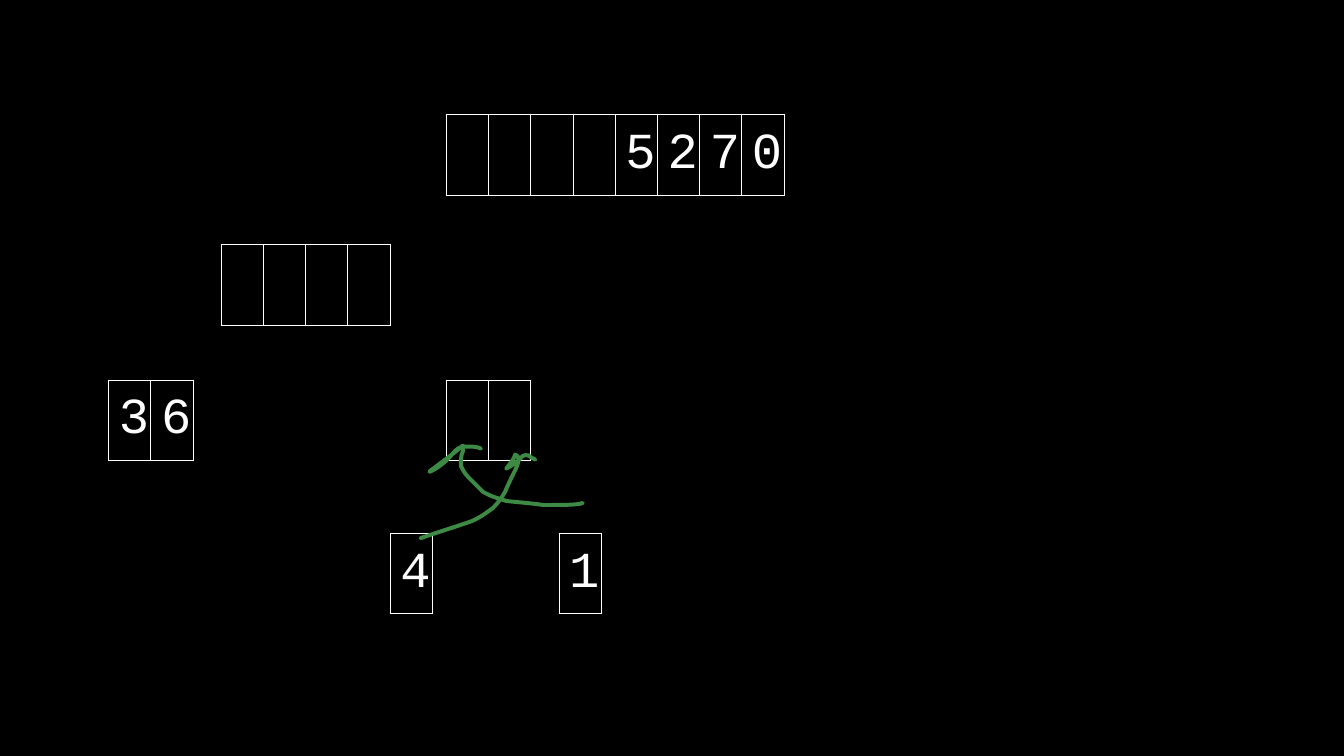
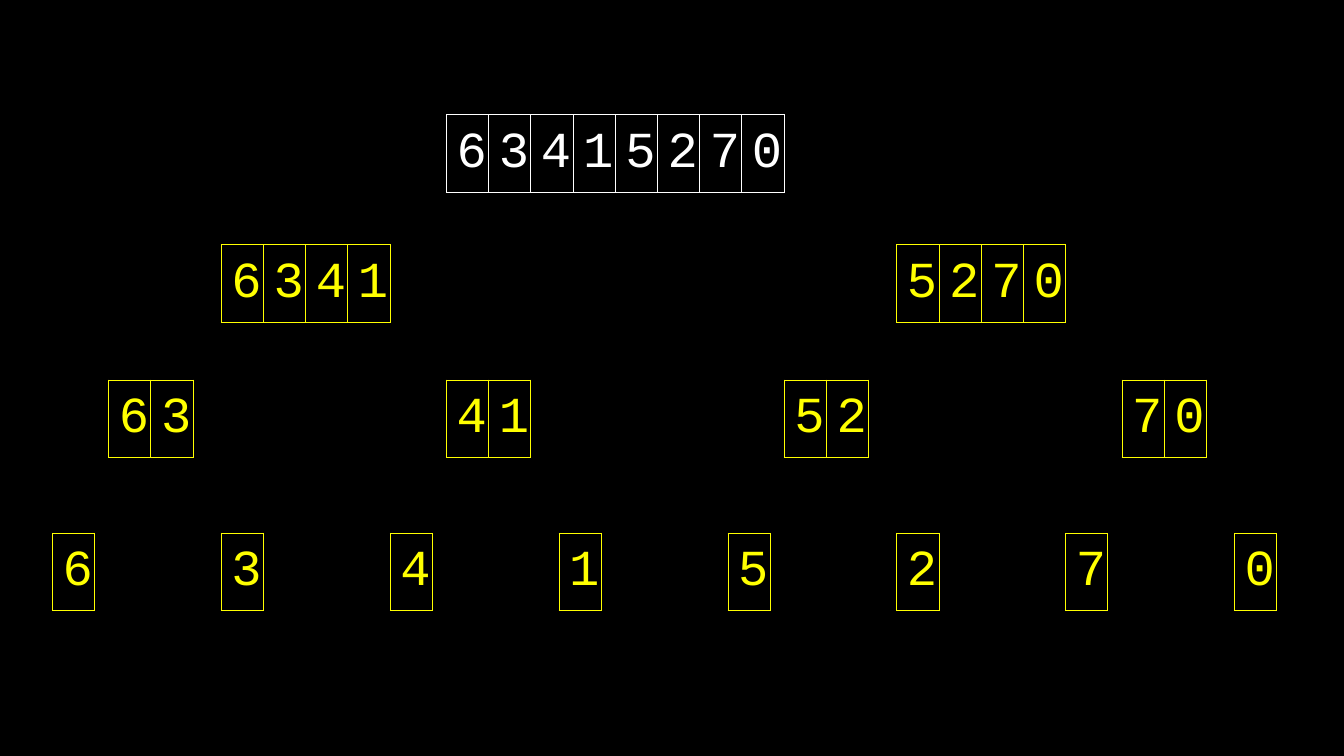
import pptx
import pptx.util
import pptx.dml.color
import pptx.enum.text
import pptx.oxml
import pptx.oxml.ns

COLORS = {"background": "000000", "settled": "FFFFFF", "split": "FFFF00", "ink": "3D8A44"}
FONT = "Courier New"
SLIDE_WIDTH, SLIDE_HEIGHT = 13.33, 7.5
CELL = 3.35 / 8
LEAF_STEP = 4 * CELL
LEFT = 0.52
LEVEL_TOPS = {8: 1.14, 4: 2.43, 2: 3.77, 1: 5.29}
MERGE_ROW, SPLIT_ROW = 0.8, 0.76

NUMBERS = "63415270"
MERGE_ARRAYS = [
    (8, 0, "5270"),
    (4, 0, ""),
    (2, 0, "36"),
    (2, 1, ""),
    (1, 2, "4"),
    (1, 3, "1"),
]
INK_STROKES = [
    [(5.78, 4.99),
     (5.73, 5.01, 5.6, 5.01, 5.39, 5.01), (5.25, 4.99, 5.1, 4.98, 5.02, 4.97),
     (4.93, 4.94, 4.88, 4.93, 4.79, 4.88), (4.75, 4.84, 4.69, 4.78, 4.65, 4.74),
     (4.61, 4.7, 4.59, 4.66, 4.57, 4.62), (4.57, 4.57, 4.57, 4.52, 4.59, 4.48),
     (4.59, 4.43)],
    [(4.59, 4.42),
     (4.49, 4.51, 4.37, 4.59, 4.31, 4.64), (4.26, 4.67, 4.22, 4.71, 4.32, 4.65),
     (4.4, 4.6, 4.46, 4.54, 4.49, 4.5), (4.52, 4.46, 4.56, 4.43, 4.61, 4.43),
     (4.68, 4.43, 4.73, 4.43, 4.77, 4.45)],
    [(4.17, 5.34),
     (4.37, 5.27, 4.51, 5.23, 4.68, 5.17), (4.77, 5.13, 4.82, 5.09, 4.89, 5.04),
     (4.94, 4.99, 4.98, 4.93, 5.01, 4.88), (5.04, 4.8, 5.11, 4.67, 5.13, 4.62),
     (5.15, 4.57, 5.15, 4.52, 5.11, 4.51), (5.1, 4.55, 5.06, 4.6, 5.02, 4.65),
     (5.08, 4.62, 5.12, 4.59, 5.16, 4.55), (5.18, 4.51, 5.24, 4.5, 5.27, 4.54),
     (5.31, 4.56)],
]


def inches(value):
    return pptx.util.Inches(value)


def rgb(name):
    return pptx.dml.color.RGBColor.from_string(COLORS[name])


def drawing_element(tag, content="", attributes=""):
    return pptx.oxml.parse_xml(
        f'<a:{tag} {pptx.oxml.ns.nsdecls("a")} {attributes}>{content}</a:{tag}>')


def add_borders(cell, color):
    properties = cell._tc.get_or_add_tcPr()
    stroke = f'<a:solidFill><a:srgbClr val="{COLORS[color]}"/></a:solidFill>'
    for side in ("lnL", "lnR", "lnT", "lnB"):
        properties.append(drawing_element(side, stroke, f'w="{pptx.util.Pt(0.75)}"'))


def format_cell(cell, digit, color):
    add_borders(cell, color)
    cell.fill.background()
    cell.margin_left = cell.margin_right = inches(0.1)
    cell.margin_top = cell.margin_bottom = inches(0.1)
    cell.vertical_anchor = pptx.enum.text.MSO_ANCHOR.MIDDLE
    if digit.isdigit():
        paragraph = cell.text_frame.paragraphs[0]
        paragraph.text = digit
        paragraph.alignment = pptx.enum.text.PP_ALIGN.CENTER
        font = paragraph.runs[0].font
        font.name, font.size = FONT, pptx.util.Pt(36)
        font.color.rgb = rgb(color)


def add_array(slide, size, position, digits, color, row_height):
    left = LEFT + LEAF_STEP * ((size - 1) / 3 + size * position)
    table = slide.shapes.add_table(
        1, size, inches(left), inches(LEVEL_TOPS[size]),
        inches(size * CELL), inches(row_height)).table
    table.first_row = table.horz_banding = False
    for column, digit in enumerate(digits.rjust(size)):
        table.columns[column].width = inches(CELL)
        format_cell(table.cell(0, column), digit, color)


def add_split_tree(slide, digits, position=0):
    size = len(digits)
    color = "settled" if size == len(NUMBERS) else "split"
    add_array(slide, size, position, digits, color, SPLIT_ROW)
    if size > 1:
        half = size // 2
        add_split_tree(slide, digits[:half], 2 * position)
        add_split_tree(slide, digits[half:], 2 * position + 1)


def bend_segments(ink, segments):
    corners = iter(ink._element.findall(f'.//{pptx.oxml.ns.qn("a:lnTo")}'))
    for segment in segments:
        group = [next(corners) for _ in range(len(segment) // 2)]
        if len(group) == 3:
            curve = drawing_element("cubicBezTo")
            group[0].addprevious(curve)
            for corner in group:
                curve.append(corner[0])
                corner.getparent().remove(corner)


def add_ink(slide, stroke):
    start, *segments = stroke
    points = [(inches(segment[i]), inches(segment[i + 1]))
              for segment in segments for i in range(0, len(segment), 2)]
    builder = slide.shapes.build_freeform(inches(start[0]), inches(start[1]))
    builder.add_line_segments(points, close=False)
    ink = builder.convert_to_shape()
    bend_segments(ink, segments)
    ink.shadow.inherit = False
    ink.fill.background()
    ink.line.color.rgb = rgb("ink")
    ink.line.width = pptx.util.Pt(2.83)
    outline = ink.line._get_or_add_ln()
    outline.set("cap", "rnd")
    outline.append(drawing_element("round"))


def main():
    deck = pptx.Presentation()
    deck.slide_width, deck.slide_height = inches(SLIDE_WIDTH), inches(SLIDE_HEIGHT)
    backdrop = deck.slide_master.background.fill
    backdrop.solid()
    backdrop.fore_color.rgb = rgb("background")
    blank = deck.slide_layouts[6]

    merge_slide = deck.slides.add_slide(blank)
    for size, position, digits in MERGE_ARRAYS:
        add_array(merge_slide, size, position, digits, "settled", MERGE_ROW)
    for stroke in INK_STROKES:
        add_ink(merge_slide, stroke)

    add_split_tree(deck.slides.add_slide(blank), NUMBERS)
    deck.save("out.pptx")


if __name__ == "__main__":
    main()
